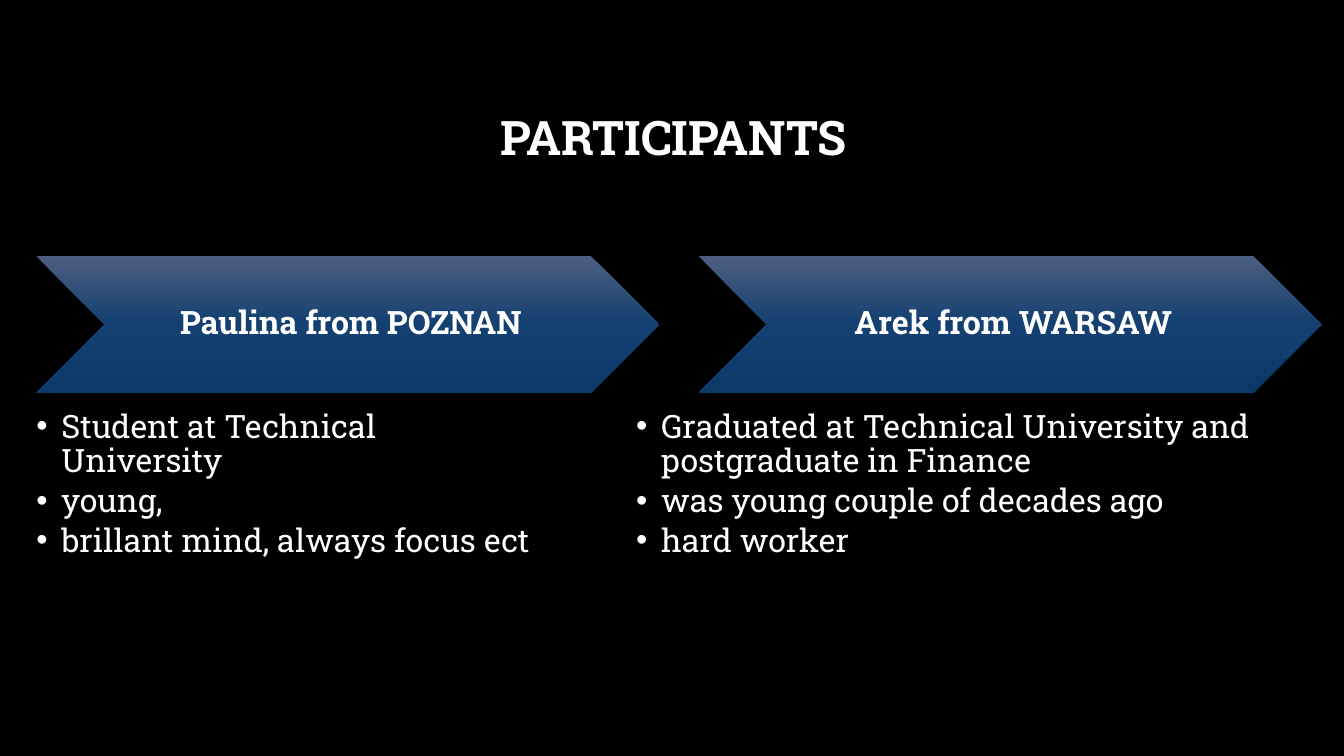
import copy
from dataclasses import dataclass

import lxml.etree
import pptx
import pptx.dml.color
import pptx.enum.shapes
import pptx.enum.text
import pptx.oxml.ns
import pptx.shapes.autoshape
import pptx.shapes.base
import pptx.text.text
import pptx.util

Pt = pptx.util.Pt
RGBColor = pptx.dml.color.RGBColor
Anchor = pptx.enum.text.MSO_ANCHOR
Align = pptx.enum.text.PP_ALIGN
qn = pptx.oxml.ns.qn

BLACK = RGBColor(0x00, 0x00, 0x00)
WHITE = RGBColor(0xFF, 0xFF, 0xFF)
GRADIENT = (
    (0.0, RGBColor(0x4D, 0x5E, 0x80)),
    (0.5, RGBColor(0x13, 0x40, 0x71)),
    (1.0, RGBColor(0x0D, 0x39, 0x69)),
)
FONT = "Roboto Slab"
TEXT_SIZE = 23
BULLET_INDENT = 18
CHEVRON_TOP, CHEVRON_WIDTH, CHEVRON_HEIGHT = 182.9, 445, 97.9
LIST_TOP, LIST_HEIGHT = 293, 156.2


@dataclass(frozen=True)
class Participant:
    heading: str
    facts: tuple[str, ...]
    chevron_left: float
    list_left: float
    list_width: float


PARTICIPANTS = (
    Participant(
        "Paulina from POZNAN",
        ("Student at Technical University", "young,", "brillant mind, always focus ect"),
        25.9, 25.9, 356.4,
    ),
    Participant(
        "Arek from WARSAW",
        ("Graduated at Technical University and postgraduate in Finance",
         "was young couple of decades ago", "hard worker"),
        499, 454.3, 445,
    ),
)


def place(shape: pptx.shapes.base.BaseShape, left: float, top: float,
          width: float, height: float) -> None:
    shape.left, shape.top = Pt(left), Pt(top)
    shape.width, shape.height = Pt(width), Pt(height)


def set_frame(frame: pptx.text.text.TextFrame, anchor: Anchor,
              left: float, other: float) -> None:
    """Set the anchor, the left margin and the three other margins."""
    frame.word_wrap = True
    frame.auto_size = pptx.enum.text.MSO_AUTO_SIZE.NONE
    frame.vertical_anchor = anchor
    frame.margin_left = Pt(left)
    frame.margin_top = frame.margin_right = frame.margin_bottom = Pt(other)


def format_paragraph(para: pptx.text.text._Paragraph, size: float, bold: bool,
                     align: Align, space_after: float = 0) -> None:
    para.alignment = align
    para.line_spacing = 0.9
    para.space_before = Pt(0)
    para.space_after = Pt(space_after)
    para.font.name = FONT
    para.font.size = Pt(size)
    para.font.bold = bold
    para.font.color.rgb = WHITE


def add_bullet(para: pptx.text.text._Paragraph) -> None:
    properties = para._p.get_or_add_pPr()
    properties.set("marL", str(Pt(BULLET_INDENT)))
    properties.set("indent", str(Pt(-BULLET_INDENT)))
    bullet = lxml.etree.Element(qn("a:buChar"), char="•")
    properties.find(qn("a:defRPr")).addprevious(bullet)


def fill_gradient(shape: pptx.shapes.autoshape.Shape) -> None:
    shape.fill.gradient()
    shape.fill.gradient_angle = 270
    first_stop = shape._element.spPr.find(".//" + qn("a:gs"))
    first_stop.addnext(copy.deepcopy(first_stop))
    for stop, (position, color) in zip(shape.fill.gradient_stops, GRADIENT):
        stop.position = position
        stop.color.rgb = color


def add_chevron(page: pptx.slide.Slide, participant: Participant) -> None:
    chevron = page.shapes.add_shape(
        pptx.enum.shapes.MSO_SHAPE.CHEVRON, Pt(participant.chevron_left),
        Pt(CHEVRON_TOP), Pt(CHEVRON_WIDTH), Pt(CHEVRON_HEIGHT))
    chevron.shadow.inherit = False
    chevron.line.fill.background()
    fill_gradient(chevron)
    set_frame(chevron.text_frame, Anchor.MIDDLE, 7.2, 2.2)
    para = chevron.text_frame.paragraphs[0]
    para.text = participant.heading
    format_paragraph(para, TEXT_SIZE, True, Align.CENTER, 8)


def fill_list(box: pptx.shapes.base.BaseShape, participant: Participant) -> None:
    place(box, participant.list_left, LIST_TOP, participant.list_width, LIST_HEIGHT)
    frame = box.text_frame
    set_frame(frame, Anchor.TOP, 0, 0)
    frame.text = "\n".join(participant.facts)
    for para in frame.paragraphs:
        para.level = 1
        format_paragraph(para, TEXT_SIZE, False, Align.LEFT, 3.5)
        add_bullet(para)


def fill_title(title: pptx.shapes.base.BaseShape) -> None:
    place(title, 72, 48.2, 815, 104.4)
    set_frame(title.text_frame, Anchor.MIDDLE, 7.2, 3.6)
    para = title.text_frame.paragraphs[0]
    para.text = "PARTICIPANTS"
    format_paragraph(para, 34, True, Align.CENTER)


def main() -> None:
    deck = pptx.Presentation()
    deck.slide_width, deck.slide_height = Pt(960), Pt(540)
    page = deck.slides.add_slide(deck.slide_layouts.get_by_name("Two Content"))
    page.background.fill.solid()
    page.background.fill.fore_color.rgb = BLACK
    fill_title(page.shapes.title)
    for index, participant in enumerate(PARTICIPANTS, start=1):
        add_chevron(page, participant)
        fill_list(page.placeholders[index], participant)
    deck.save("out.pptx")


if __name__ == "__main__":
    main()
